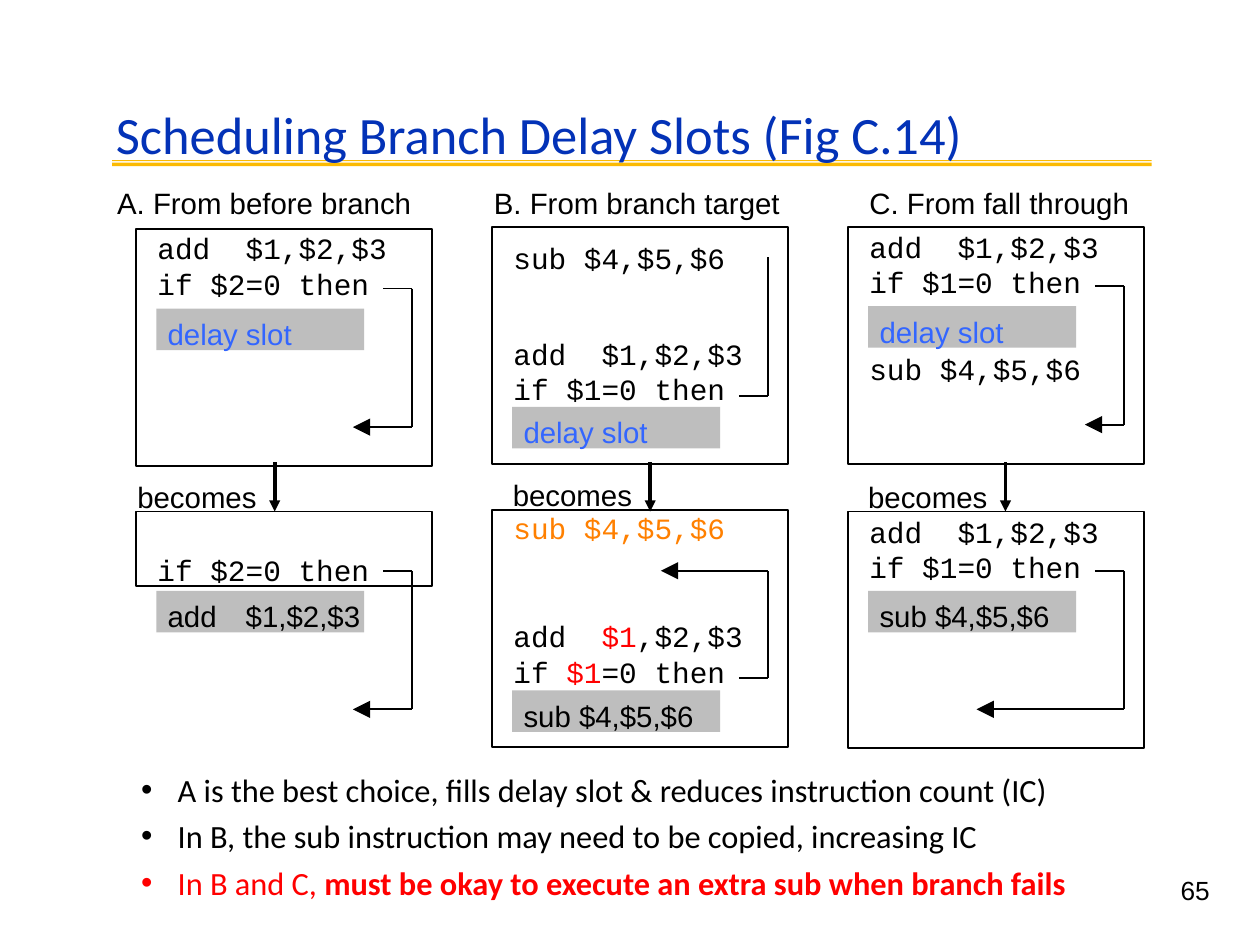
from lxml.etree import SubElement
from pptx import Presentation
from pptx.dml.color import RGBColor
from pptx.enum.shapes import MSO_CONNECTOR, MSO_SHAPE
from pptx.enum.text import MSO_ANCHOR, MSO_AUTO_SIZE, PP_ALIGN
from pptx.oxml.ns import qn
from pptx.util import Inches, Pt

COLORS = {"black": "000000", "title": "0332B7", "gold": "FBBA03", "gray": "BEBEBE",
          "blue": "3366FF", "red": "FF0000", "orange": "FF8000"}
SIZE = 16.8
LINE = 1.07

TITLE = "Scheduling Branch Delay Slots (Fig C.14)"
HEADINGS = "A. From before branch\tB. From branch target\tC. From fall through"
PAGE_NUMBER = "65"

# A line of text is a list of spans: (text, color, bold)
BULLETS = [
    [("A is the best choice, fills delay slot & reduces instruction count (IC)", "black", False)],
    [("In B, the sub instruction may need to be copied, increasing IC", "black", False)],
    [("In B and C, ", "red", False),
     ("must be okay to execute an extra sub when branch fails", "red", True)],
]


def plain(text, color="black"):
    return [(text, color, False)]


ADD = plain("add\t$1,$2,$3")
SUB = "sub $4,$5,$6"
IF_1 = plain("if $1=0 then")
IF_2 = plain("if $2=0 then")
ADD_RED = plain("add\t") + plain("$1", "red") + plain(",$2,$3")
IF_RED = plain("if ") + plain("$1", "red") + plain("=0 then")
DELAY = plain("delay slot", "blue")

# Vertical places are offsets from the panel top. "wire" runs from the branch
# to its target; "tip" is the x offset of the arrow end, None for no arrow.
PANELS = [
    dict(column=0, top=1.82, height=1.88, code=[(-0.01, [ADD, IF_2])],
         slot=(0.63, DELAY), wire=(0.47, 1.57), tip=1.72),
    dict(column=1, top=1.80, height=1.88, code=[(0.09, [plain(SUB)]), (0.85, [ADD, IF_1])],
         slot=(1.43, DELAY), wire=(1.34, 0.24), tip=None),
    dict(column=2, top=1.80, height=1.88, code=[(0, [ADD, IF_1]), (0.97, [plain(SUB)])],
         slot=(0.63, DELAY), wire=(0.47, 1.57), tip=1.88),
    dict(column=0, top=4.06, height=0.59, code=[(0.3, [IF_2])],
         slot=(0.63, ADD), wire=(0.47, 1.57), tip=1.72),
    dict(column=1, top=4.05, height=1.88,
         code=[(-0.02, [plain(SUB, "orange")]), (0.84, [ADD_RED, IF_RED])],
         slot=(1.43, plain(SUB)), wire=(1.33, 0.48), tip=1.34),
    dict(column=2, top=4.06, height=1.88, code=[(0, [ADD, IF_1])],
         slot=(0.63, plain(SUB)), wire=(0.47, 1.57), tip=1.02),
]
BECOMES = [(1.08, 3.78), (4.06, 3.77), (6.88, 3.78)]

COLUMN_LEFT, COLUMN_STEP = 1.08, 2.825
PANEL_WIDTH = 2.35
CODE_X, SLOT_X, STUB_X, WIRE_X = 0.17, 0.16, 1.96, 2.19

deck = Presentation()
deck.slide_width, deck.slide_height = Inches(10), Inches(7.5)
page = deck.slides.add_slide(deck.slide_layouts[5])


def rgb(name):
    return RGBColor.from_string(COLORS[name])


def add_tabs(para, stops):
    tab_list = SubElement(para._p.get_or_add_pPr(), qn("a:tabLst"))
    for stop in stops:
        SubElement(tab_list, qn("a:tab"), pos=str(Inches(stop)), algn="l")


def add_bullet(para):
    properties = para._p.get_or_add_pPr()
    properties.set("marL", str(Inches(0.31)))
    properties.set("indent", str(Inches(-0.29)))
    SubElement(properties, qn("a:buFont"), typeface="Arial")
    SubElement(properties, qn("a:buChar"), char="•")


def write(shape, lines, font="Arial", size=SIZE, inset=(0, 0.02), tabs=(), bullets=False,
          pitch=None, gap=0):
    frame = shape.text_frame
    frame.word_wrap = True
    frame.auto_size = MSO_AUTO_SIZE.NONE
    frame.vertical_anchor = MSO_ANCHOR.TOP
    frame.margin_left, frame.margin_top = map(Inches, inset)
    frame.margin_right = frame.margin_bottom = 0
    for index, spans in enumerate(lines):
        para = frame.add_paragraph() if index else frame.paragraphs[0]
        if bullets:
            add_bullet(para)
        if tabs:
            add_tabs(para, tabs)
        para.alignment = PP_ALIGN.LEFT
        if pitch:
            para.line_spacing = Pt(pitch)
        if index:
            para.space_before = Pt(gap)
        for text, color, bold in spans:
            span = para.add_run()
            span.text = text
            span.font.name, span.font.size, span.font.bold = font, Pt(size), bold
            span.font.color.rgb = rgb(color)


def add_text(left, top, width, height, lines, **style):
    box = page.shapes.add_textbox(*map(Inches, (left, top, width, height)))
    write(box, lines, **style)


def add_rect(left, top, width, height, fill=None):
    """Draw a filled rectangle, or a black outline when no fill is given."""
    rect = page.shapes.add_shape(MSO_SHAPE.RECTANGLE, *map(Inches, (left, top, width, height)))
    rect.shadow.inherit = False
    if fill:
        rect.fill.solid()
        rect.fill.fore_color.rgb = rgb(fill)
        rect.line.fill.background()
    else:
        rect.fill.background()
        rect.line.color.rgb = rgb("black")
        rect.line.width = Pt(LINE)
    return rect


def add_line(x1, y1, x2, y2, width=LINE, head=None):
    line = page.shapes.add_connector(MSO_CONNECTOR.STRAIGHT, *map(Inches, (x1, y1, x2, y2)))
    line.line.color.rgb = rgb("black")
    line.line.width = Pt(width)
    if head:
        SubElement(line.line._get_or_add_ln(), qn("a:tailEnd"), type="triangle", w=head, len=head)
    SubElement(line._element.spPr, qn("a:effectLst"))


def add_panel(column, top, height, code, slot, wire, tip):
    left = COLUMN_LEFT + column * COLUMN_STEP
    add_rect(left, top, PANEL_WIDTH, height)
    for offset, lines in code:
        add_text(left + CODE_X, top + offset, 1.84, 0.29 * len(lines), lines,
                 font="Courier New", tabs=[0.7], pitch=20.1)
    offset, spans = slot
    write(add_rect(left + SLOT_X, top + offset, 1.65, 0.33, "gray"), [spans],
          inset=(0.09, 0.06), tabs=[0.62])
    branch, target = (top + offset for offset in wire)
    corner = left + WIRE_X
    add_line(left + STUB_X, branch, corner, branch)
    add_line(corner, branch, corner, target)
    if tip is not None:
        add_line(corner, target, left + tip, target, head="lg")


for top, height in [(1.27, 0.01), (1.29, 0.03)]:
    add_rect(0.89, top, 8.25, height, "gold")

title = page.shapes.title
title.left, title.top, title.width, title.height = map(Inches, (0.91, 0.67, 7.44, 0.64))
write(title, [plain(TITLE, "title")], font="Calibri", size=30, inset=(0.01, 0.14))
title.text_frame.vertical_anchor = MSO_ANCHOR.MIDDLE
page.shapes.element.append(title.element)  # in front of the gold rules

add_text(0.92, 1.45, 8.2, 0.29, [plain(HEADINGS)], inset=(0.01, 0.02), tabs=[2.99, 5.97])
for panel in PANELS:
    add_panel(**panel)
for left, top in BECOMES:
    add_text(left, top, 0.98, 0.29, [plain("becomes")], inset=(0.01, 0.02))
    add_line(left + 1.1, 3.67, left + 1.1, 4.06, width=2.14, head="med")
add_text(1.1, 6.03, 7.98, 1.15, BULLETS, font="Calibri", size=18.5, inset=(0, 0.08),
         tabs=[0.31], bullets=True, gap=4.3)
add_text(9.37, 6.94, 0.33, 0.48, [plain(PAGE_NUMBER)], size=15, inset=(0, 0))

deck.save("out.pptx")
